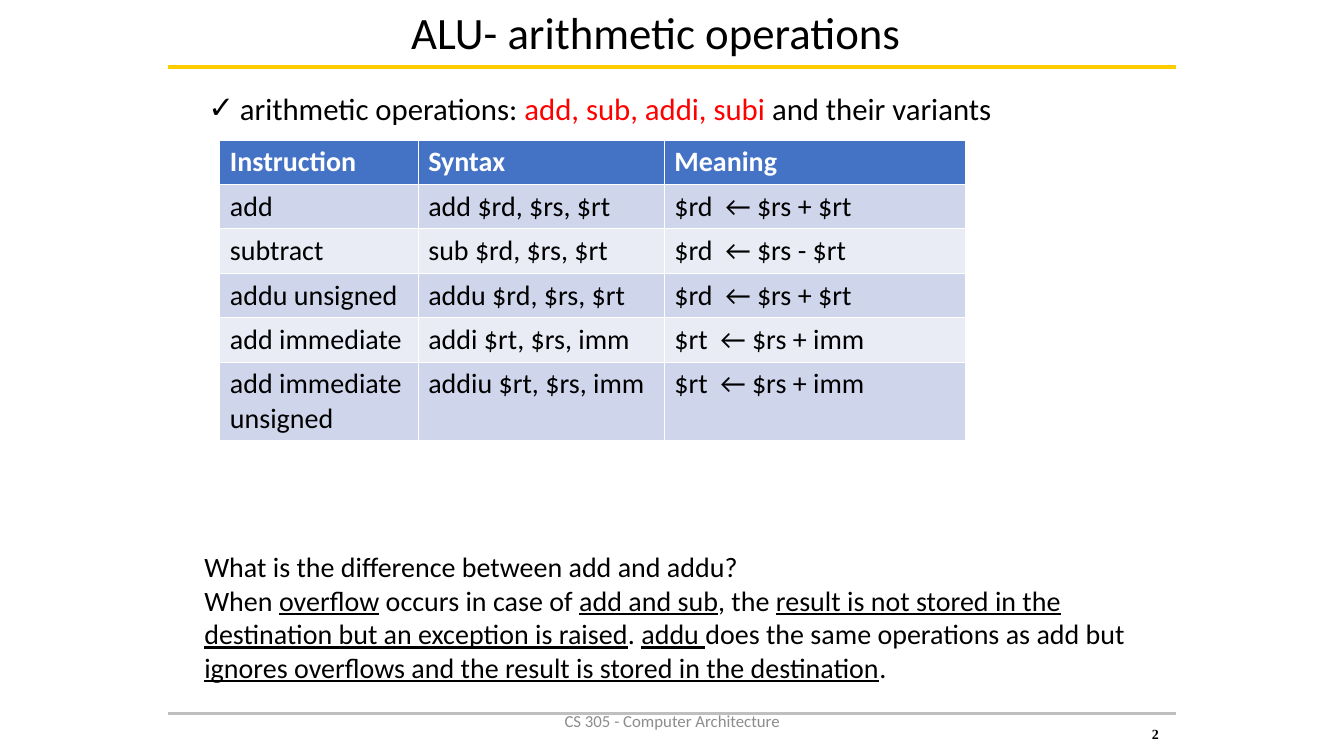
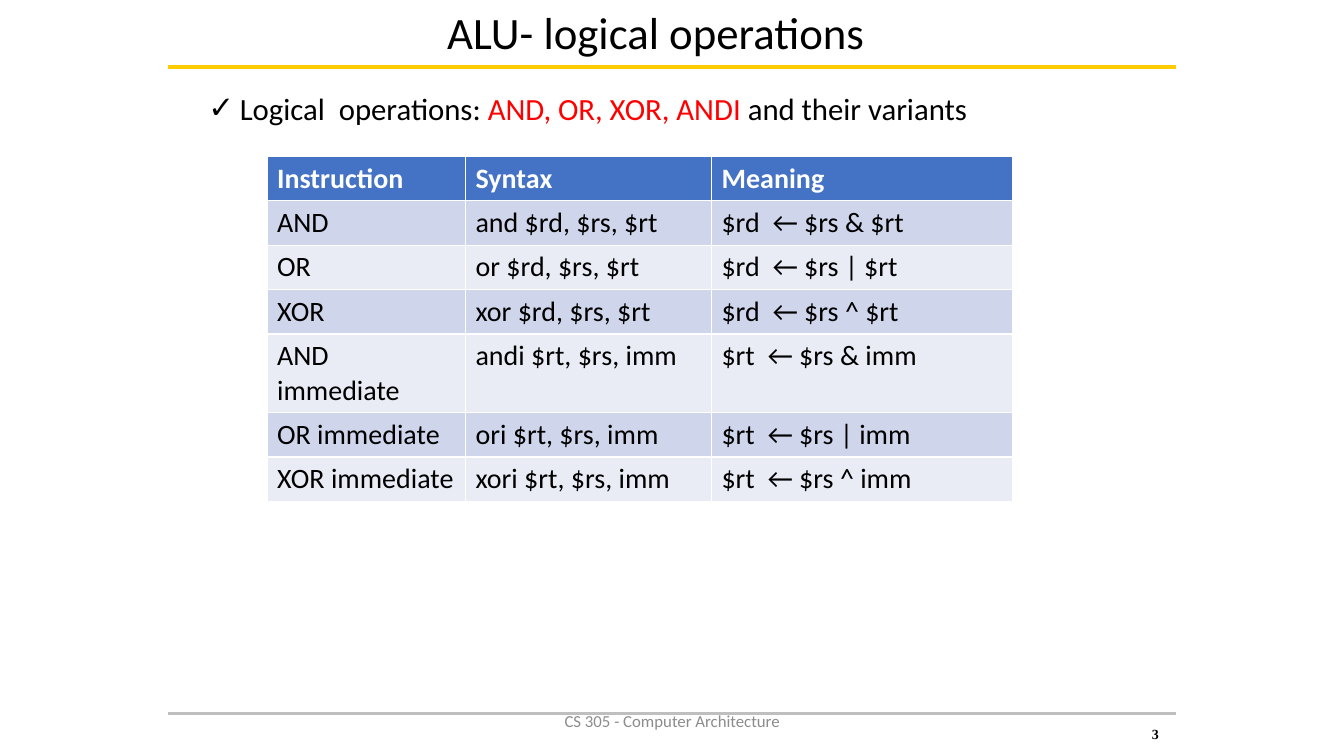
"""Build two slides on the arithmetic and logical operations of an ALU."""
from lxml.etree import SubElement
from pptx import Presentation
from pptx.dml.color import RGBColor
from pptx.enum.shapes import MSO_CONNECTOR
from pptx.enum.text import MSO_ANCHOR, MSO_AUTO_SIZE, PP_ALIGN
from pptx.oxml.ns import qn
from pptx.util import Cm, Pt

BLACK = RGBColor(0x00, 0x00, 0x00)
WHITE = RGBColor(0xFF, 0xFF, 0xFF)
RED = RGBColor(0xFF, 0x00, 0x00)
GOLD = RGBColor(0xFF, 0xCC, 0x00)
RULE_GREY = RGBColor(0xBF, 0xBF, 0xBF)
FOOTER_GREY = RGBColor(0x8C, 0x8C, 0x8C)
HEADER_BLUE = RGBColor(0x44, 0x72, 0xC4)
BANDS = (RGBColor(0xE9, 0xEB, 0xF5), RGBColor(0xCF, 0xD5, 0xEA))

COURSE = "CS 305 - Computer Architecture"
HEADINGS = ("Instruction", "Syntax", "Meaning")
COLUMN_WIDTHS = (5, 6.2, 7.6)
ROW_HEIGHT = 1.05

ARITHMETIC = [
    ("add", "add $rd, $rs, $rt", "$rd  ← $rs + $rt"),
    ("subtract", "sub $rd, $rs, $rt", "$rd  ← $rs - $rt"),
    ("addu unsigned", "addu $rd, $rs, $rt", "$rd  ← $rs + $rt"),
    ("add immediate", "addi $rt, $rs, imm", "$rt  ← $rs + imm"),
    ("add immediate unsigned", "addiu $rt, $rs, imm", "$rt  ← $rs + imm"),
]
LOGICAL = [
    ("AND", "and $rd, $rs, $rt", "$rd  ← $rs & $rt"),
    ("OR", "or $rd, $rs, $rt", "$rd  ← $rs | $rt"),
    ("XOR", "xor $rd, $rs, $rt", "$rd  ← $rs ^ $rt"),
    ("AND immediate", "andi $rt, $rs, imm", "$rt  ← $rs & imm"),
    ("OR immediate", "ori $rt, $rs, imm", "$rt  ← $rs | imm"),
    ("XOR immediate", "xori $rt, $rs, imm", "$rt  ← $rs ^ imm"),
]
QUESTION = "What is the difference between add and addu?"
ANSWER = (
    "When ", "overflow", " occurs in case of ", "add and sub", ", the ",
    "result is not stored in the destination but an exception is raised",
    ". ", "addu ", "does the same operations as add but ",
    "ignores overflows and the result is stored in the destination", ".",
)


def style(paragraph, size, color=BLACK, bold=False, name="Calibri"):
    """Set the font that all runs of a paragraph share."""
    font = paragraph.font
    font.size, font.bold, font.name = Pt(size), bold, name
    font.color.rgb = color


def add_parts(paragraph, parts):
    """Add one run per part and return the emphasised runs, every second one."""
    for part in parts:
        paragraph.add_run().text = part
    return paragraph.runs[1::2]


def place(shape, left, top, width, height):
    """Move and size a placeholder, in centimetres."""
    shape.left, shape.top = Cm(left), Cm(top)
    shape.width, shape.height = Cm(width), Cm(height)


def add_rule(slide, top, color, weight):
    """Draw a horizontal rule across the content width."""
    rule = slide.shapes.add_connector(
        MSO_CONNECTOR.STRAIGHT, Cm(4.23), Cm(top), Cm(29.63), Cm(top))
    rule.line.color.rgb = color
    rule.line.width = Pt(weight)
    SubElement(rule._element.spPr, qn("a:effectLst"))


def add_text_frame(slide, left, top, width, height, anchor=MSO_ANCHOR.TOP):
    """Add a wrapping text box and return its text frame."""
    box = slide.shapes.add_textbox(Cm(left), Cm(top), Cm(width), Cm(height))
    frame = box.text_frame
    frame.word_wrap = True
    frame.vertical_anchor = anchor
    return frame


def add_footer(slide, number):
    """Add the footer rule, the course name and the slide number."""
    add_rule(slide, 17.98, RULE_GREY, 2)
    course = add_text_frame(
        slide, 11.23, 17.65, 11.43, 1.02, MSO_ANCHOR.MIDDLE).paragraphs[0]
    course.text = COURSE
    course.alignment = PP_ALIGN.CENTER
    style(course, 12, FOOTER_GREY)
    page = add_text_frame(
        slide, 27.51, 18.2, 2.54, 0.58, MSO_ANCHOR.MIDDLE).paragraphs[0]
    page.text = str(number)
    page._p.get_or_add_pPr().set("marL", str(Cm(1.27)))
    style(page, 10, bold=True, name="Times New Roman")


def fill_title(slide, text):
    """Fill the title placeholder and underline it with the gold rule."""
    title = slide.shapes.title
    place(title, 4.72, 0.33, 23.62, 0.94)
    frame = title.text_frame
    frame.text = text
    frame.auto_size = MSO_AUTO_SIZE.NONE
    frame.vertical_anchor = MSO_ANCHOR.MIDDLE
    heading = frame.paragraphs[0]
    heading.alignment = PP_ALIGN.CENTER
    style(heading, 32)
    add_rule(slide, 1.69, GOLD, 3)


def fill_summary(slide, parts):
    """Fill the body placeholder with one ticked line, its operations in red."""
    body = slide.placeholders[1]
    place(body, 3.73, 2.13, 23.6, 1.19)
    body.text_frame.auto_size = MSO_AUTO_SIZE.NONE
    summary = body.text_frame.paragraphs[0]
    summary.level = 1
    summary.space_before = Pt(0)
    properties = summary._p.get_or_add_pPr()
    properties.set("marL", str(Cm(2.06)))
    properties.set("indent", str(Cm(-0.79)))
    SubElement(properties, qn("a:buChar"), char="✓")
    style(summary, 22)
    for operations in add_parts(summary, parts):
        operations.font.color.rgb = RED


def add_instruction_table(slide, left, top, instructions):
    """Add a banded table of instructions below a blue header row."""
    rows = [HEADINGS, *instructions]
    table = slide.shapes.add_table(
        len(rows), len(HEADINGS), Cm(left), Cm(top),
        Cm(sum(COLUMN_WIDTHS)), Cm(ROW_HEIGHT * len(rows))).table
    for column, width in zip(table.columns, COLUMN_WIDTHS):
        column.width = Cm(width)
    for r, row in enumerate(rows):
        is_header = r == 0
        for c, text in enumerate(row):
            cell = table.cell(r, c)
            cell.text = text
            cell.fill.solid()
            cell.fill.fore_color.rgb = HEADER_BLUE if is_header else BANDS[r % 2]
            style(cell.text_frame.paragraphs[0], 20,
                  WHITE if is_header else BLACK, is_header)


def add_overflow_note(slide):
    """Add the question on overflow and its answer, key phrases underlined."""
    frame = add_text_frame(slide, 4.9, 13.72, 24.05, 3.68)
    question, answer = frame.paragraphs[0], frame.add_paragraph()
    question.text = QUESTION
    for phrase in add_parts(answer, ANSWER):
        phrase.font.underline = True
    for paragraph in (question, answer):
        style(paragraph, 20)


def add_operations_slide(deck, number, title, summary, corner, instructions):
    """Add a slide with title, summary line, instruction table and footer."""
    slide = deck.slides.add_slide(deck.slide_layouts[1])
    fill_title(slide, title)
    fill_summary(slide, summary)
    add_instruction_table(slide, *corner, instructions)
    add_footer(slide, number)
    return slide


def main():
    """Build both slides and save the deck."""
    deck = Presentation()
    deck.slide_width, deck.slide_height = Cm(33.87), Cm(19.05)
    arithmetic = add_operations_slide(
        deck, 2, "ALU- arithmetic operations",
        ("arithmetic operations: ", "add, sub, addi, subi ",
         "and their variants"),
        (5.54, 3.53), ARITHMETIC)
    add_overflow_note(arithmetic)
    add_operations_slide(
        deck, 3, "ALU- logical operations",
        ("Logical  operations: ", "AND, OR, XOR, ANDI ",
         "and their variants"),
        (6.73, 3.94), LOGICAL)
    deck.save("out.pptx")


main()
